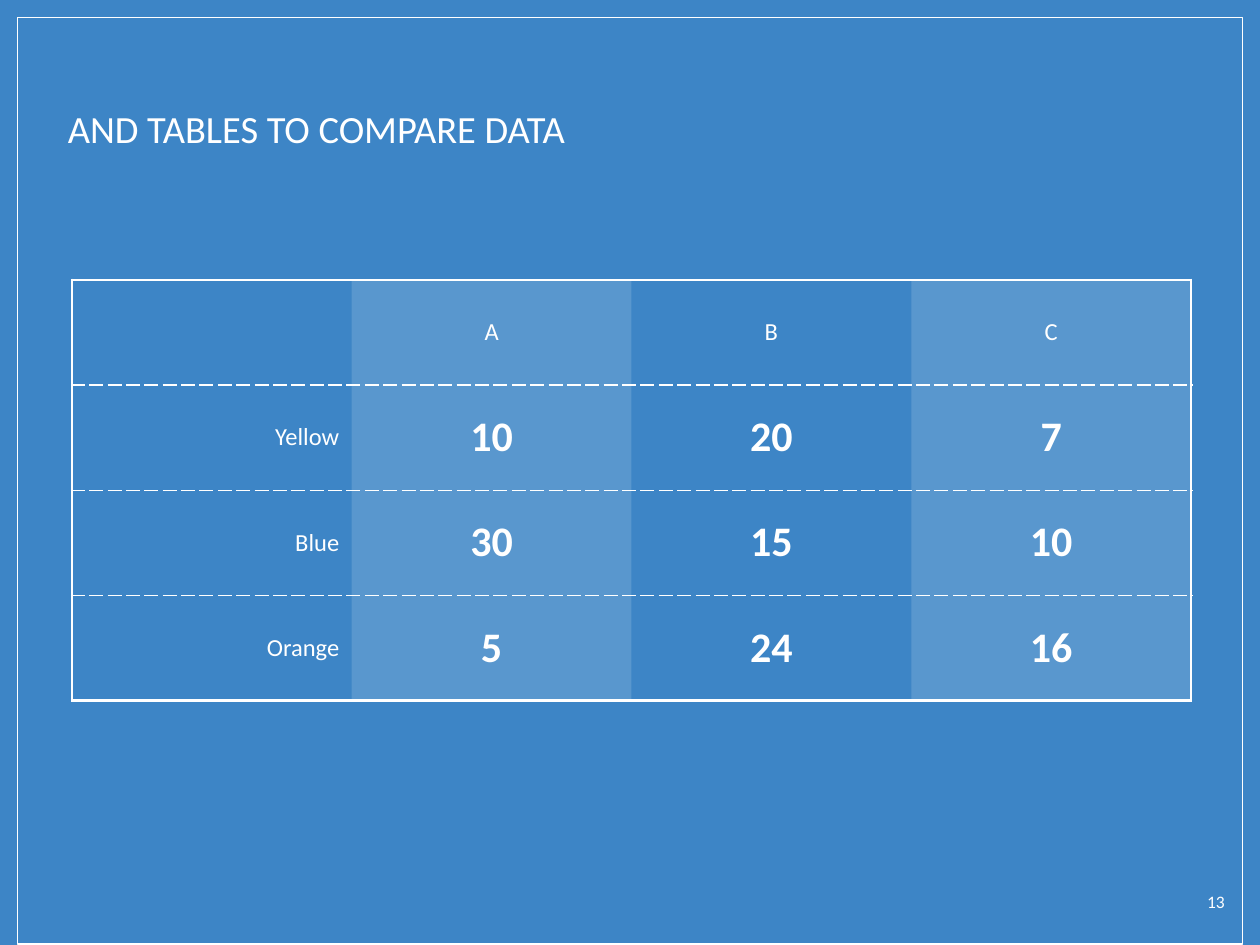
from lxml.etree import SubElement
from pptx import Presentation
from pptx.dml.color import RGBColor
from pptx.enum.shapes import MSO_SHAPE as Shape
from pptx.enum.text import MSO_ANCHOR as Anchor, PP_ALIGN as Align
from pptx.oxml.ns import qn
from pptx.util import Cm, Pt

BLUE, WHITE = "3D85C6", "FFFFFF"
FONT = "Calibri"
INSET = Cm(0.25)
ROWS = [
    ["", "A", "B", "C"],
    ["Yellow", "10", "20", "7"],
    ["Blue", "30", "15", "10"],
    ["Orange", "5", "24", "16"],
]
COLUMN_WIDTH, ROW_HEIGHT = Cm(5.64), Cm(2.12)
OUTER, INNER, NO_LINE = (1.5, "solid"), (0.75, "dash"), None


def color(hex_code):
    """Turn a hex string into a colour."""
    return RGBColor.from_string(hex_code)


def write(frame, text, size, align=Align.LEFT, bold=False):
    """Put one white paragraph into a text frame."""
    frame.text = text
    para = frame.paragraphs[0]
    para.alignment = align
    for span in para.runs:
        span.font.name = FONT
        span.font.size = Pt(size)
        span.font.bold = bold
        span.font.color.rgb = color(WHITE)


def add_text(page, left, top, width, height, text, size, align, anchor):
    """Add a wrapped text box with even insets."""
    box = page.shapes.add_textbox(Cm(left), Cm(top), Cm(width), Cm(height))
    frame = box.text_frame
    frame.word_wrap = True
    frame.vertical_anchor = anchor
    frame.margin_left = frame.margin_right = INSET
    frame.margin_top = frame.margin_bottom = INSET
    write(frame, text, size, align)


def add_frame(page):
    """Outline the page with a thin white rectangle."""
    frame = page.shapes.add_shape(Shape.RECTANGLE, Cm(0.36), Cm(0.36), Cm(24.69), Cm(18.67))
    frame.shadow.inherit = False
    frame.fill.background()
    frame.line.color.rgb = color(WHITE)
    frame.line.width = Pt(0.75)


def set_border(cell, position, side, style):
    """Insert one cell border, ahead of the cell fill."""
    properties = cell._tc.get_or_add_tcPr()
    line = SubElement(properties, qn(f"a:ln{side}"))
    properties.insert(position, line)
    if style is NO_LINE:
        SubElement(line, qn("a:noFill"))
        return
    width, dash = style
    line.set("w", str(Pt(width)))
    fill = SubElement(line, qn("a:solidFill"))
    SubElement(fill, qn("a:srgbClr"), val=WHITE)
    SubElement(line, qn("a:prstDash"), val=dash)


def fill_cell(cell, shaded):
    """Tint a shaded cell with translucent white and leave others clear."""
    if not shaded:
        cell.fill.background()
        return
    cell.fill.solid()
    cell.fill.fore_color.rgb = color(WHITE)
    tint = cell._tc.tcPr.find(f".//{qn('a:srgbClr')}")
    SubElement(tint, qn("a:alpha"), val="15000")


def add_data_table(page):
    """Add the comparison table with tinted columns and dashed row lines."""
    row_count, column_count = len(ROWS), len(ROWS[0])
    table = page.shapes.add_table(
        row_count, column_count, Cm(1.45), Cm(5.64),
        COLUMN_WIDTH * column_count, ROW_HEIGHT * row_count,
    ).table
    table.first_row = table.horz_banding = False
    for column in table.columns:
        column.width = COLUMN_WIDTH
    for r, values in enumerate(ROWS):
        table.rows[r].height = ROW_HEIGHT
        for c, value in enumerate(values):
            cell = table.cell(r, c)
            cell.vertical_anchor = Anchor.MIDDLE
            cell.margin_left = cell.margin_right = INSET
            cell.margin_top = cell.margin_bottom = INSET
            is_value = r > 0 and c > 0
            align = Align.CENTER if c else Align.RIGHT
            write(cell.text_frame, value, 24 if is_value else 14, align, is_value)
            fill_cell(cell, c % 2 == 1)
            borders = {
                "L": OUTER if c == 0 else NO_LINE,
                "R": OUTER if c == column_count - 1 else NO_LINE,
                "T": OUTER if r == 0 else INNER,
                "B": OUTER if r == row_count - 1 else INNER,
            }
            for position, (side, style) in enumerate(borders.items()):
                set_border(cell, position, side, style)


def main():
    """Build and save the slide."""
    deck = Presentation()
    deck.slide_width, deck.slide_height = Cm(25.4), Cm(19.05)
    page = deck.slides.add_slide(deck.slide_layouts[6])
    page.background.fill.solid()
    page.background.fill.fore_color.rgb = color(BLUE)
    add_frame(page)
    add_text(page, 1.12, 1.83, 22.86, 1.52, "AND TABLES TO COMPARE DATA", 22, Align.LEFT, Anchor.MIDDLE)
    add_data_table(page)
    add_text(page, 23.67, 17.75, 1.27, 1.09, "13", 10, Align.RIGHT, Anchor.TOP)
    deck.save("out.pptx")


if __name__ == "__main__":
    main()
